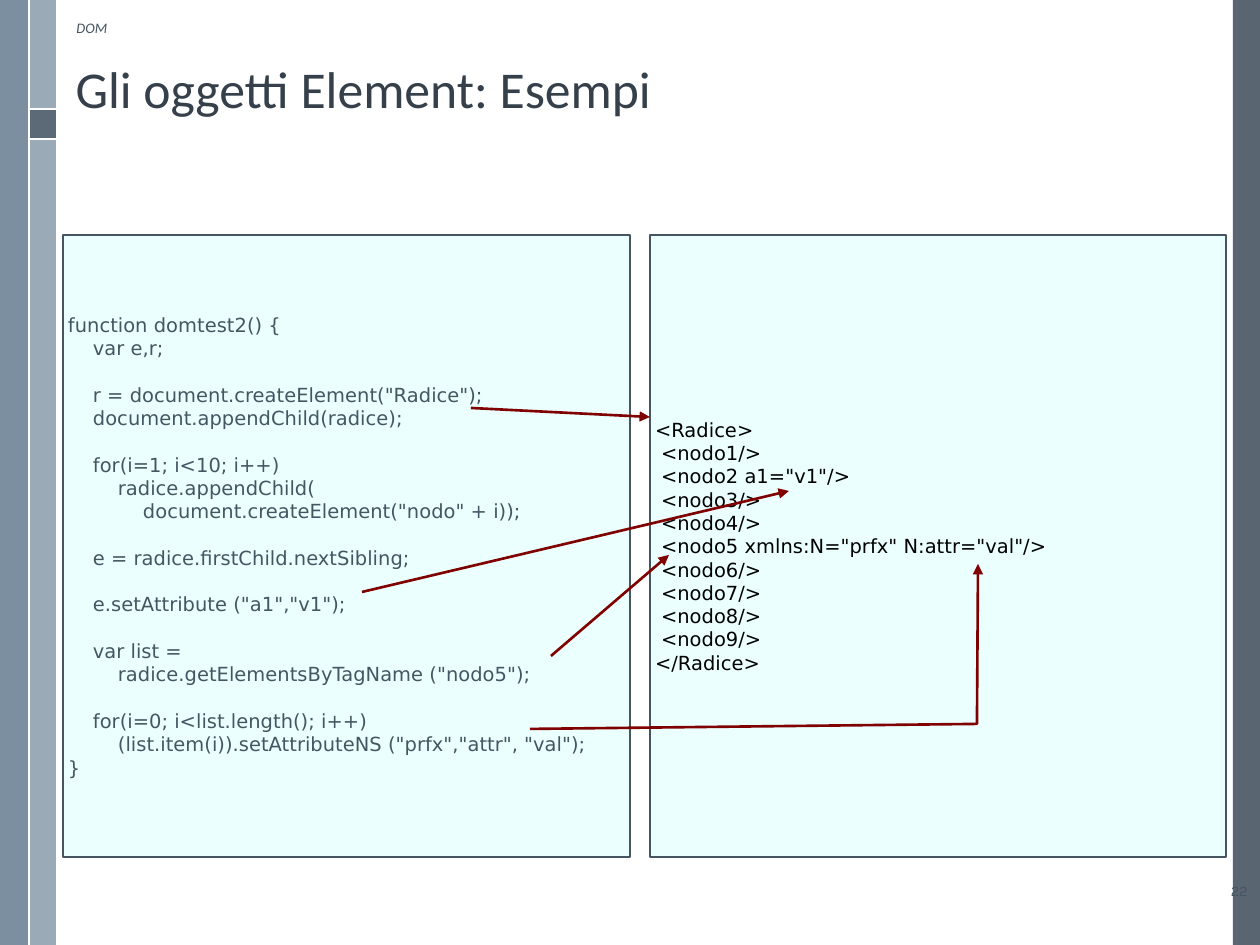
import pptx
import pptx.util
import pptx.dml.color
import pptx.enum.shapes
import pptx.enum.text
import pptx.oxml.ns
import lxml.etree

EMU = 914400 // 126
INK, PALE, RED = "465562", "EBFFFF", "800000"
ANCHOR = pptx.enum.text.MSO_ANCHOR
ALIGN = pptx.enum.text.PP_ALIGN

CODE = [
    (0, 0, "function domtest2() {"),
    (1, 0, "var e,r;"),
    (1, 1, 'r = document.createElement("Radice");'),
    (1, 0, "document.appendChild(radice);"),
    (1, 1, "for(i=1; i<10; i++)"),
    (2, 0, "radice.appendChild("),
    (3, 0, 'document.createElement("nodo" + i));'),
    (1, 1, "e = radice.firstChild.nextSibling;"),
    (1, 1, 'e.setAttribute ("a1","v1");'),
    (1, 1, "var list ="),
    (2, 0, 'radice.getElementsByTagName ("nodo5");'),
    (1, 1, "for(i=0; i<list.length(); i++)"),
    (2, 0, '(list.item(i)).setAttributeNS ("prfx","attr", "val");'),
    (0, 0, "}"),
]
ATTRS = {2: ' a1="v1"', 5: ' xmlns:N="prfx" N:attr="val"'}
NODES = [(1, 0, f"<nodo{n}{ATTRS.get(n, '')}/>") for n in range(1, 10)]
TREE = [(0, 0, "<Radice>"), *NODES, (0, 0, "</Radice>")]


def px(*nums):
    return [pptx.util.Emu(round(n * EMU)) for n in nums]


def color(text):
    return pptx.dml.color.RGBColor.from_string(text)


def add(node, tag, **attrs):
    return lxml.etree.SubElement(node, pptx.oxml.ns.qn(tag), attrs)


def style(para, name, size, ink):
    para.font.name = name
    para.font.size = pptx.util.Pt(size)
    para.font.color.rgb = color(ink)


def stroke(line, ink, width):
    line.color.rgb = color(ink)
    line.width = pptx.util.Pt(width)


def bar(slide, box, fill, alpha=100):
    shape = slide.shapes.add_shape(pptx.enum.shapes.MSO_SHAPE.RECTANGLE, *px(*box))
    shape.shadow.inherit = False
    shape.fill.solid()
    shape.fill.fore_color.rgb = color(fill)
    shape.line.fill.background()
    if alpha < 100:
        tint = shape.fill._xPr.find(".//" + pptx.oxml.ns.qn("a:srgbClr"))
        add(tint, "a:alpha", val=str(alpha * 1000))
    return shape


def rule(slide, start, end, ink):
    line = slide.shapes.add_connector(
        pptx.enum.shapes.MSO_CONNECTOR.STRAIGHT, *px(*start, *end))
    stroke(line.line, ink, 1.5)
    add(line._element.spPr, "a:effectLst")
    return line


def head(shape):
    add(shape.line._get_or_add_ln(), "a:tailEnd", type="triangle")


def arrow(slide, *points):
    if len(points) == 2:
        shape = rule(slide, *points, RED)
    else:
        form = slide.shapes.build_freeform(*points[0], scale=EMU)
        form.add_line_segments(points[1:], close=False)
        shape = form.convert_to_shape()
        shape.shadow.inherit = False
        shape.fill.background()
        stroke(shape.line, RED, 1.5)
    head(shape)


def frame(slide, box):
    left, top, width, height = box
    right, low = left + width, top + height
    bar(slide, (right - 27, top, 27, height), "475562", 90)
    bar(slide, (left + 29, top, 27, height), "9BAAB7")
    bar(slide, (left, top, 29, height), "6A8093", 88)
    bar(slide, (left + 30, top + 110, 26, 28), "475562", 75)
    for y in (top + 109, top + 139):
        rule(slide, (left + 29, y), (left + 56, y), "FFFFFF")
    rule(slide, (left + 29, top), (left + 29, low), "FFFFFF")


def title(slide, box, text):
    shape = slide.shapes.title
    shape.left, shape.top, shape.width, shape.height = px(*box)
    shape.text_frame.text = text
    shape.text_frame.vertical_anchor = ANCHOR.TOP
    para = shape.text_frame.paragraphs[0]
    para.alignment = ALIGN.LEFT
    para.line_spacing = 0.9
    style(para, "Calibri", 29.5, "35404A")


def label(slide, box, text, name, align, slant=False):
    body = slide.shapes.add_textbox(*px(*box)).text_frame
    body.word_wrap = True
    body.vertical_anchor = ANCHOR.MIDDLE
    body.text = text
    para = body.paragraphs[0]
    para.alignment = align
    para.font.italic = slant
    style(para, name, 8.3, INK)


def panel(slide, box, rows, ink, step):
    shape = bar(slide, box, PALE)
    stroke(shape.line, INK, 1)
    body = shape.text_frame
    body.word_wrap = True
    body.vertical_anchor = ANCHOR.MIDDLE
    body.margin_left, body.margin_top, body.margin_right, body.margin_bottom = px(5, 5, 5, 5)
    body.text = "\n".join(text for _, _, text in rows)
    for para, (level, gap, _) in zip(body.paragraphs, rows):
        para.alignment = ALIGN.LEFT
        para.space_before = pptx.util.Pt(13.3 * gap)
        para._p.get_or_add_pPr().set("marL", str(level * step * EMU))
        style(para, "DejaVu Sans", 11.1, ink)


deck = pptx.Presentation()
deck.slide_width, deck.slide_height = pptx.util.Inches(10), pptx.util.Inches(7.5)
slide = deck.slides.add_slide(deck.slide_layouts[5])
frame(slide, (0, 0, 1260, 945))
title(slide, (63, 58, 1162, 137), "Gli oggetti Element: Esempi")
label(slide, (1123, 876, 137, 29), "22", "Karla", ALIGN.RIGHT)
panel(slide, (650, 235, 576, 622), TREE, "000000", 6)
panel(slide, (63, 235, 567, 622), CODE, INK, 25)
arrow(slide, (362, 592), (789, 491))
arrow(slide, (551, 656), (669, 555))
arrow(slide, (530, 729), (977, 724), (978, 564))
arrow(slide, (471, 408), (650, 417))
label(slide, (64, 8, 411, 39), "DOM", "Calibri", ALIGN.LEFT, True)
deck.save("out.pptx")
